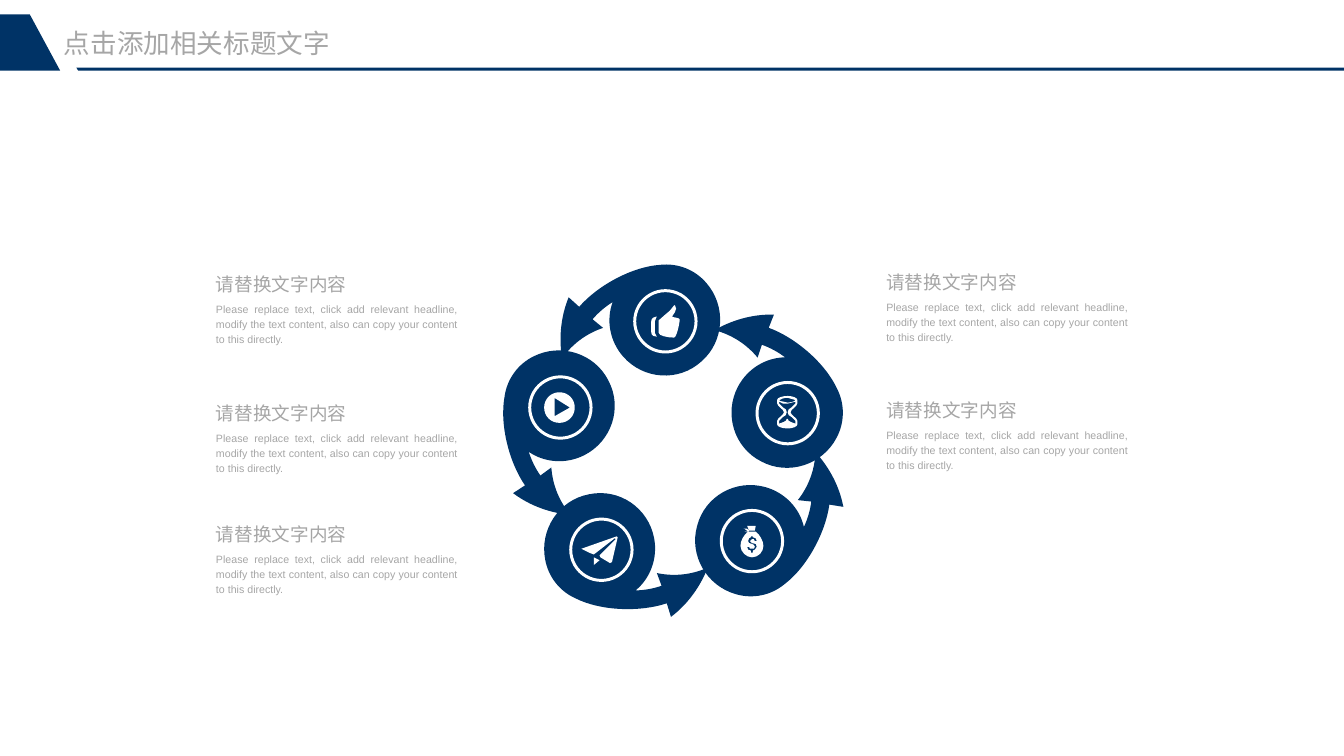
from dataclasses import dataclass
from math import cos, radians, sin

from lxml.etree import SubElement
from pptx import Presentation
from pptx.dml.color import RGBColor
from pptx.enum.shapes import MSO_SHAPE
from pptx.enum.text import MSO_AUTO_SIZE, PP_ALIGN
from pptx.oxml.ns import qn
from pptx.util import Cm, Pt

OVAL = MSO_SHAPE.OVAL
JUSTIFY = PP_ALIGN.JUSTIFY
LEFT = PP_ALIGN.LEFT
GROW = MSO_AUTO_SIZE.SHAPE_TO_FIT_TEXT


@dataclass(frozen=True)
class Theme:
    """Colours, font and sizes of the slide."""
    navy: RGBColor = RGBColor(0x00, 0x33, 0x66)
    white: RGBColor = RGBColor(0xFF, 0xFF, 0xFF)
    grey: RGBColor = RGBColor(0xA6, 0xA6, 0xA6)
    font: str = "Arial"
    title: Pt = Pt(20)
    heading: Pt = Pt(14)
    body: Pt = Pt(8)
    ring: Pt = Pt(2.25)


THEME = Theme()
WIDTH, HEIGHT = 35.71, 20.09
ART_UNIT = Cm(2.54) / 100

TITLE = "点击添加相关标题文字"
HEADING = "请替换文字内容"
BODY = ("Please replace text, click add relevant headline, modify the text content, "
        "also can copy your content to this directly.")

PETAL = [[
    (-89, -14), (-70, -36, -34, -56, -4, -58), (14, -60, 32, -53, 44, -39),
    (65, -15, 63, 22, 39, 43), (15, 65, -22, 62, -43, 38), (-57, 22, -61, 0, -54, -19),
    (-62, -14, -69, -8, -75, -1), (-64, 8), (-79, 13, -95, 23, -107, 40),
    (-110, 20, -109, -2, -100, -24),
]]
THUMB = [
    [(-9, -5), (-11, -5, -15, -4, -15, 1), (-15, 10), (-15, 16, -11, 16, -9, 16),
     (-11, 12), (-11, 0)],
    [(7, -5), (7, -6, 14, -12, 10, -17), (9, -18, 6, -11, 1, -8), (-7, -1),
     (-7, 12), (-7, 15, 2, 17, 9, 17), (12, 17, 15, 1, 15, -2), (15, -4, 7, -4, 7, -5)],
]
PLAY = [
    [(15, 0), (15, 9, 8, 16, -1, 16), (-10, 16, -17, 9, -17, 0),
     (-17, -9, -10, -16, -1, -16), (8, -16, 15, -9, 15, 0)],
    [(-6, -10), (10, 0), (-6, 9)],
]
PLANE = [
    [(-8, 16), (-2, 11), (-8, 8)],
    [(16, -14), (-21, -1), (-13, 3), (-8, 5), (14, -12), (15, -11), (-2, 6), (-1, 8),
     (9, 14), (11, 13), (17, -13)],
]
MONEY_BAG = [
    [(4, -10), (-4, -10), (-9, -6, -12, 0, -12, 5), (-12, 11, -6, 17, 0, 17),
     (7, 17, 12, 11, 12, 5), (12, 0, 8, -7, 4, -10)],
    [(-5, -16), (4, -16), (3, -11), (-3, -11)],
    [(-9, -13), (-5, -13), (-3, -11), (-4, -9), (-8, -10), (-4, -10), (-8, -13)],
    [(3, 9), (1, 10), (1, 12), (-1, 12), (-1, 10), (-4, 9), (-5, 6), (-3, 6), (-2, 8),
     (0, 8), (2, 8), (3, 6), (2, 4), (0, 3), (-3, 2), (-4, 0), (-3, -3), (-1, -4),
     (-1, -5), (1, -5), (1, -4), (4, -3), (5, 0), (3, 0), (2, -2), (0, -2), (-2, 0),
     (0, 2), (4, 3), (5, 6)],
]
HOURGLASS = [
    [(10, -10), (10, -14), (10, -16, 5, -18, 0, -18), (-6, -18, -11, -16, -11, -14),
     (-11, -10), (-11, -7, -4, -4, -4, -1), (-4, 2, -11, 5, -11, 8), (-11, 12),
     (-11, 14, -6, 16, 0, 16), (5, 16, 10, 14, 10, 12), (10, 8), (10, 5, 3, 2, 3, -1),
     (3, -4, 10, -7, 10, -10)],
    [(0, -1), (1, 2), (4, 4), (8, 8), (8, 11), (6, 10, 0, 9, 0, 6), (-1, 6),
     (-1, 9, -7, 10, -9, 11), (-9, 8), (-5, 4), (-2, 2), (-1, -1), (-2, -4), (-5, -6),
     (-9, -10), (-9, -12), (-5, -10), (0, -10), (8, -12), (8, -10), (4, -6), (1, -4)],
    [(-8, -14), (-7, -15, -4, -16, 0, -16), (7, -14), (8, -13),
     (6, -12, 3, -11, 0, -11), (-9, -13)],
]

STEPS = [
    (15.95, 14.58, -149.5, PLANE),
    (19.95, 14.35, 146.8, MONEY_BAG),
    (14.86, 10.8, -75.5, PLAY),
    (17.65, 8.51, 0, THUMB),
    (20.9, 10.95, 69.1, HOURGLASS),
]
CAPTIONS = [(5.74, 7.14), (5.74, 10.57), (5.74, 13.79), (23.55, 7.09), (23.55, 10.49)]


def place_segment(segment, x, y, unit, angle):
    """Turn and scale the points of a line (2 numbers) or Bezier curve (6 numbers)."""
    cosine, sine = cos(radians(angle)), sin(radians(angle))
    return [(round(Cm(x) + unit * (px * cosine - py * sine)),
             round(Cm(y) + unit * (px * sine + py * cosine)))
            for px, py in zip(segment[::2], segment[1::2])]


def add_outline(shapes, contours, colour, x=0, y=0, unit=Cm(1), angle=0):
    """Draw filled contours around the point x, y, turned by angle."""
    placed = [[place_segment(segment, x, y, unit, angle) for segment in contour] for contour in contours]
    builder = shapes.build_freeform(*placed[0][0][0])
    for index, contour in enumerate(placed):
        if index:
            builder.move_to(*contour[0][0])
        builder.add_line_segments([segment[-1] for segment in contour[1:]], close=True)
    shape = builder.convert_to_shape()
    shape.shadow.inherit = False
    shape.fill.solid()
    shape.fill.fore_color.rgb = colour
    shape.line.fill.background()
    segments = [segment for contour in placed for segment in contour[1:]]
    for line, segment in zip(list(shape.element.iter(qn("a:lnTo"))), segments):
        if len(segment) == 3:
            line.getparent().replace(line, make_curve(line, segment, shape.left, shape.top))


def make_curve(line, segment, left, top):
    """Return a cubic curve element to stand in for a line element."""
    curve = line.makeelement(qn("a:cubicBezTo"))
    for px, py in segment:
        SubElement(curve, qn("a:pt"), x=str(px - left), y=str(py - top))
    return curve


def add_text(slide, box, text, size, alignment=JUSTIFY, line_spacing=1.2):
    """Add a grey text box without margins and return its paragraph."""
    frame = slide.shapes.add_textbox(*map(Cm, box)).text_frame
    frame.margin_left = frame.margin_right = frame.margin_top = frame.margin_bottom = 0
    frame.word_wrap = True
    frame.auto_size = GROW
    paragraph = frame.paragraphs[0]
    paragraph.text = text
    paragraph.alignment = alignment
    paragraph.line_spacing = line_spacing
    font = paragraph.runs[0].font
    font.name, font.size = THEME.font, size
    font.color.rgb = THEME.grey
    return paragraph


def add_header(slide, left, top, width, height):
    """Draw the corner tab, the rule and the title."""
    right, bottom = left + width, top + height
    rule_top = bottom - 0.08
    rule = [(left + 2.03, rule_top), (right, rule_top), (right, bottom), (left + 2.08, bottom)]
    tab = [(left, top), (left + 0.79, top), (left + 1.6, bottom), (left, bottom)]
    for contour in (rule, tab):
        add_outline(slide.shapes, [contour], THEME.navy)
    paragraph = add_text(slide, (left + 1.7, top + 0.33, 8.5, 0.86), TITLE, THEME.title, LEFT, 1.0)
    paragraph.space_after = Pt(6)


def add_step(slide, x, y, angle, icon):
    """Group one arrow-tailed petal with its ring and icon."""
    shapes = slide.shapes.add_group_shape().shapes
    add_outline(shapes, PETAL, THEME.navy, x, y, ART_UNIT, angle)
    x, y, diameter = x + 0.03, y + 0.03, 1.63
    ring = shapes.add_shape(OVAL, Cm(x - diameter / 2), Cm(y - diameter / 2), Cm(diameter), Cm(diameter))
    ring.shadow.inherit = False
    ring.fill.background()
    ring.line.color.rgb = THEME.white
    ring.line.width = THEME.ring
    add_outline(shapes, icon, THEME.white, x, y, ART_UNIT)


def add_caption(slide, left, top):
    """Place a heading with its description below."""
    add_text(slide, (left, top, 5.66, 0.66), HEADING, THEME.heading)
    add_text(slide, (left, top + 0.83, 6.43, 1.19), BODY, THEME.body)


def main():
    """Build and save the slide."""
    presentation = Presentation()
    presentation.slide_width, presentation.slide_height = Cm(WIDTH), Cm(HEIGHT)
    slide = presentation.slides.add_slide(presentation.slide_layouts[6])
    for step in STEPS:
        add_step(slide, *step)
    for caption in CAPTIONS:
        add_caption(slide, *caption)
    add_header(slide, 0, 0.38, WIDTH, 1.5)
    presentation.save("out.pptx")


if __name__ == "__main__":
    main()
